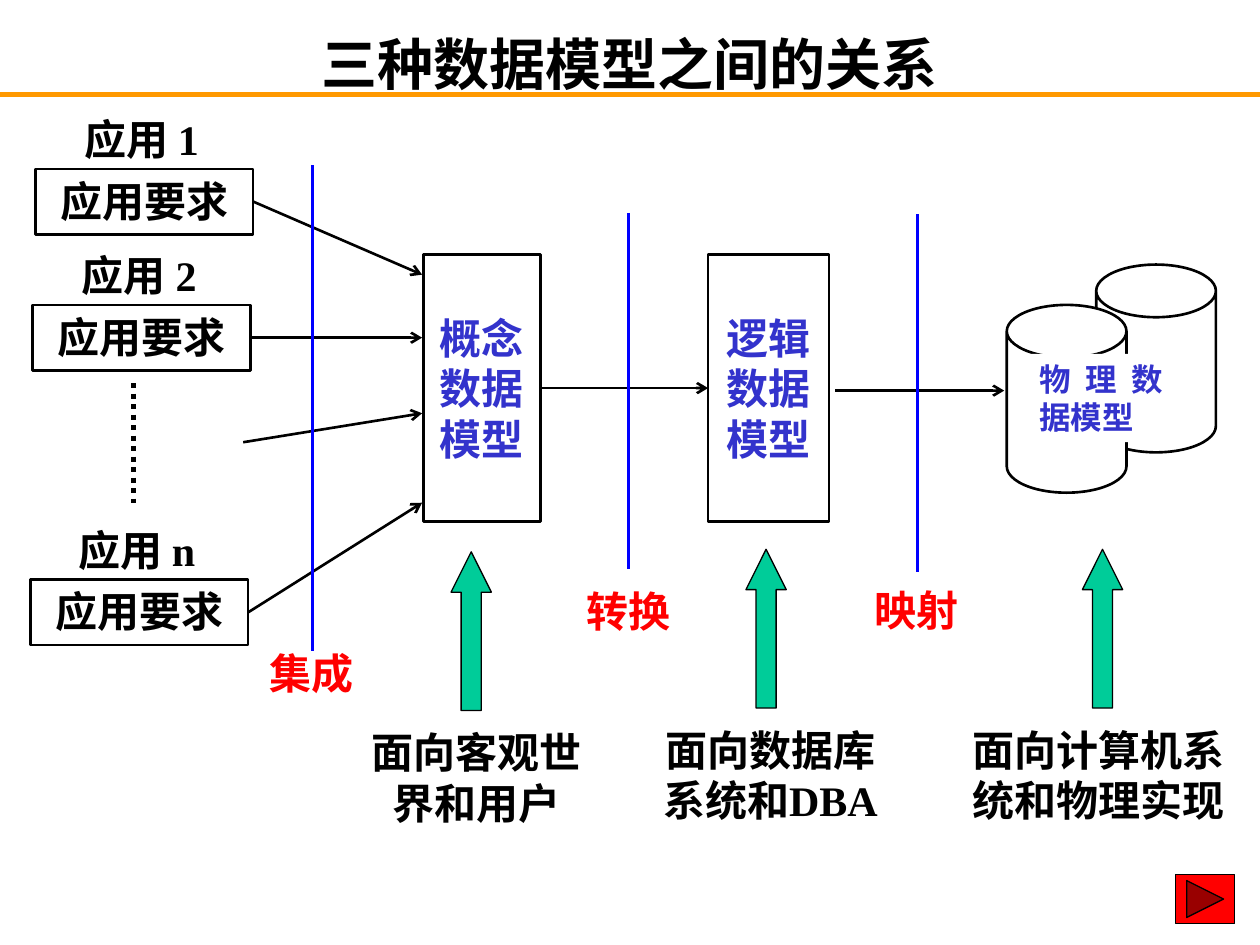
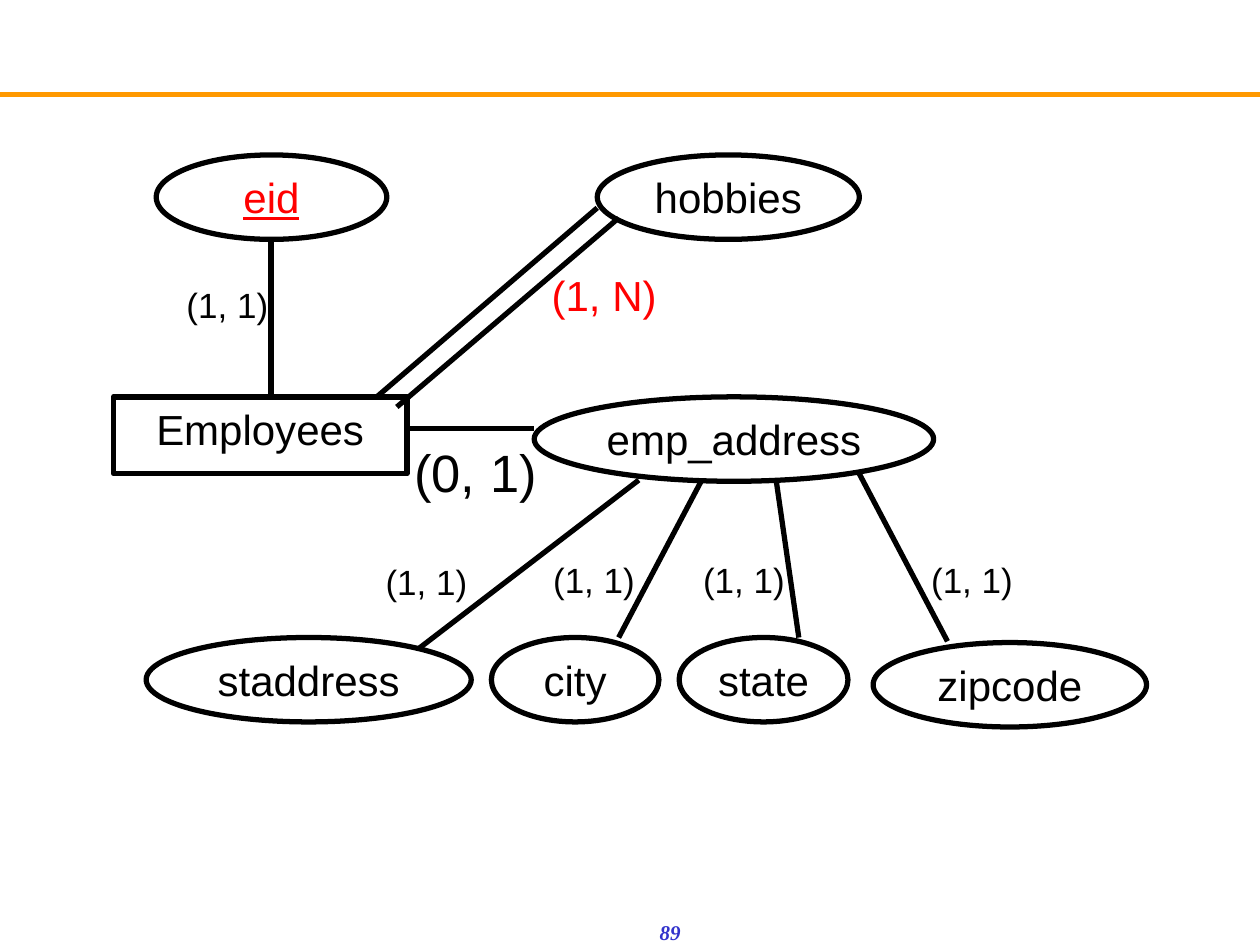
from lxml.etree import SubElement
from pptx import Presentation
from pptx.dml.color import RGBColor
from pptx.enum.dml import MSO_LINE
from pptx.enum.shapes import MSO_CONNECTOR, MSO_SHAPE
from pptx.enum.text import MSO_ANCHOR, MSO_AUTO_SIZE, PP_ALIGN
from pptx.oxml.ns import qn
from pptx.util import Pt

PX = 9144  # EMU in one px, 100 px to the inch
BLACK, WHITE, RED = "000000", "FFFFFF", "FF0000"
ORANGE, BLUE, INDIGO, GREEN = "FF9900", "0000FF", "3333CC", "00CC99"
SERIF, SANS = "Times New Roman", "Arial"
TITLE_ONLY, BLANK = 5, 6  # layouts
LEFT, RIGHT = 1, 3  # connection sites of a rectangle


def color(code):
    return RGBColor.from_string(code)


def scaled(*lengths):
    return [length * PX for length in lengths]


class Painter:
    """Holds the deck, the current page and the text style in use."""

    def __init__(self):
        self.deck = Presentation()
        self.deck.slide_width, self.deck.slide_height = scaled(1000, 750)
        self.page = None
        self.font, self.bold = SERIF, True

    def new_page(self, layout):
        self.page = self.deck.slides.add_slide(self.deck.slide_layouts[layout])
        self.font, self.bold = SERIF, True
        self.line((0, 75), (1000, 75), ORANGE, 3)

    def label(self, shape, text, size=24, ink=BLACK, align=PP_ALIGN.CENTER,
              anchor=MSO_ANCHOR.TOP, insets=(10, 5), wrap=True):
        frame = shape.text_frame
        frame.text = text
        frame.auto_size = MSO_AUTO_SIZE.NONE
        frame.word_wrap = wrap
        frame.vertical_anchor = anchor
        side, edge = scaled(*insets)
        frame.margin_left = frame.margin_right = side
        frame.margin_top = frame.margin_bottom = edge
        for para in frame.paragraphs:
            para.alignment = align
            for span in para.runs:
                span.font.name = self.font
                span.font.size = Pt(size)
                span.font.bold = self.bold
                span.font.color.rgb = color(ink)
        return frame

    def title(self, text):
        shape = self.page.shapes.title
        shape.left, shape.top, shape.width, shape.height = scaled(75, 25, 850, 50)
        self.label(shape, text, 32, anchor=MSO_ANCHOR.MIDDLE, insets=(10, 0))

    def text(self, place, text, **style):
        box = self.page.shapes.add_textbox(*scaled(*place))
        return self.label(box, text, **style)

    def shape(self, kind, place, fill=None, width=1.5, adjustments=()):
        shape = self.page.shapes.add_shape(kind, *scaled(*place))
        shape.shadow.inherit = False
        if fill:
            shape.fill.solid()
            shape.fill.fore_color.rgb = color(fill)
        else:
            shape.fill.background()
        if width:
            shape.line.color.rgb = color(BLACK)
            shape.line.width = Pt(width)
        else:
            shape.line.fill.background()
        for index, value in enumerate(adjustments):
            shape.adjustments[index] = value
        return shape

    def rectangle(self, place, text, fill=None, width=1.5, **style):
        box = self.shape(MSO_SHAPE.RECTANGLE, place, fill, width)
        self.label(box, text, **style)
        return box

    def ellipse(self, place, text, ink=BLACK):
        oval = self.shape(MSO_SHAPE.OVAL, place, width=3)
        return self.label(oval, text, ink=ink, anchor=MSO_ANCHOR.MIDDLE, wrap=False)

    def line(self, start, end, ink=BLACK, width=1.5, arrow=False, dash=None):
        line = self.page.shapes.add_connector(
            MSO_CONNECTOR.STRAIGHT, *scaled(*start, *end))
        line.line.color.rgb = color(ink)
        line.line.width = Pt(width)
        if dash:
            line.line.dash_style = dash
        properties = line.element.spPr
        if arrow:
            SubElement(properties.find(qn("a:ln")), qn("a:tailEnd"), type="arrow")
        SubElement(properties, qn("a:effectLst"))
        return line


def data_models(painter):
    painter.new_page(TITLE_ONLY)
    painter.title("三种数据模型之间的关系")

    # Conceptual and logical models
    concept, logical = [
        painter.rectangle((left, 202, width, 212), text, ink=INDIGO, insets=(10, 46))
        for left, width, text in ((336, 93, "概念数据模型"), (562, 96, "逻辑数据模型"))]

    # Applications and their requirements
    for name, left, top, target in (
            ("1", 28, 134, 218), ("2", 26, 242, 268), ("n", 24, 460, 399)):
        painter.text((left - 2, top - 49, 173, 50), f"应用 {name}")
        box = painter.rectangle((left, top, 173, 52), "应用要求")
        arrow = painter.line((201, top + 26), (335, target), arrow=True)
        arrow.begin_connect(box, RIGHT)
    painter.line((106, 304), (106, 399), width=3, dash=MSO_LINE.ROUND_DOT)
    painter.line((193, 351), (335, 328), arrow=True)

    # Flow between the models
    flow = painter.line((429, 308), (562, 308), arrow=True)
    flow.begin_connect(concept, RIGHT)
    flow.end_connect(logical, LEFT)
    painter.line((663, 310), (797, 310), arrow=True)

    # Physical model
    for left, top in ((870, 210), (799, 242)):
        painter.shape(MSO_SHAPE.CAN, (left, top, 95, 149), WHITE, adjustments=[0.44])
    painter.rectangle((815, 281, 118, 70), "物理数据模型", WHITE, None,
                      size=18, ink=INDIGO, align=PP_ALIGN.JUSTIFY)

    # Stage borders with their names
    for middle, top, bottom, name_top, name in (
            (248, 131, 517, 509, "集成"), (499, 169, 452, 460, "转换"),
            (728, 170, 454, 459, "映射")):
        painter.line((middle, top), (middle, bottom), BLUE, 2)
        painter.text((middle - 48, name_top, 95, 50), name, ink=RED)

    # What each model is aimed at
    for left, top, caption_left, width, caption in (
            (358, 438, 288, 181, "面向客观世界和用户"),
            (592, 436, 521, 181, "面向数据库系统和DBA"),
            (859, 436, 772, 200, "面向计算机系统和物理实现")):
        painter.shape(MSO_SHAPE.UP_ARROW, (left, top, 32, 126), GREEN, 0.75, (0.5, 1))
        painter.text((caption_left, top + 134, width, 90), caption, insets=(0, 5))

    painter.shape(MSO_SHAPE.ACTION_BUTTON_FORWARD_OR_NEXT, (933, 694, 47, 39), RED, 0.75)


def employee_diagram(painter):
    painter.new_page(BLANK)
    number = painter.text((0, 725, 550, 25), "89", size=12, ink=INDIGO,
                          align=PP_ALIGN.RIGHT)
    number.paragraphs[0].runs[0].font.italic = True
    painter.font, painter.bold = SANS, False

    # Entity and attributes
    painter.rectangle((90, 315, 233, 61), "Employees", width=3)
    key = painter.ellipse((124, 123, 183, 67), "eid", RED)
    key.paragraphs[0].runs[0].font.underline = True
    for left, top, width, name in (
            (474, 123, 208, "hobbies"), (424, 315, 317, "emp_address"),
            (116, 506, 258, "staddress"), (390, 506, 133, "city"),
            (539, 506, 134, "state"), (693, 510, 217, "zipcode")):
        painter.ellipse((left, top, width, 67), name)

    # Links, the multivalued one being double
    for start, end in (
            ((215, 190), (215, 315)), ((424, 340), (324, 340)),
            ((474, 165), (299, 315)), ((491, 173), (315, 323)),
            ((507, 381), (332, 515)), ((557, 381), (491, 506)),
            ((616, 381), (634, 506)), ((682, 376), (752, 509))):
        painter.line(start, end, width=3)

    # Cardinalities
    for left, top in ((114, 220), (272, 440), (405, 438), (524, 438), (705, 438)):
        painter.text((left, top, 133, 44), "(1, 1)", size=20)
    painter.text((311, 344, 133, 61), "(0, 1)", size=30)
    painter.text((413, 209, 133, 50), "(1, N)", ink=RED)


def main():
    painter = Painter()
    data_models(painter)
    employee_diagram(painter)
    painter.deck.save("out.pptx")


if __name__ == "__main__":
    main()
